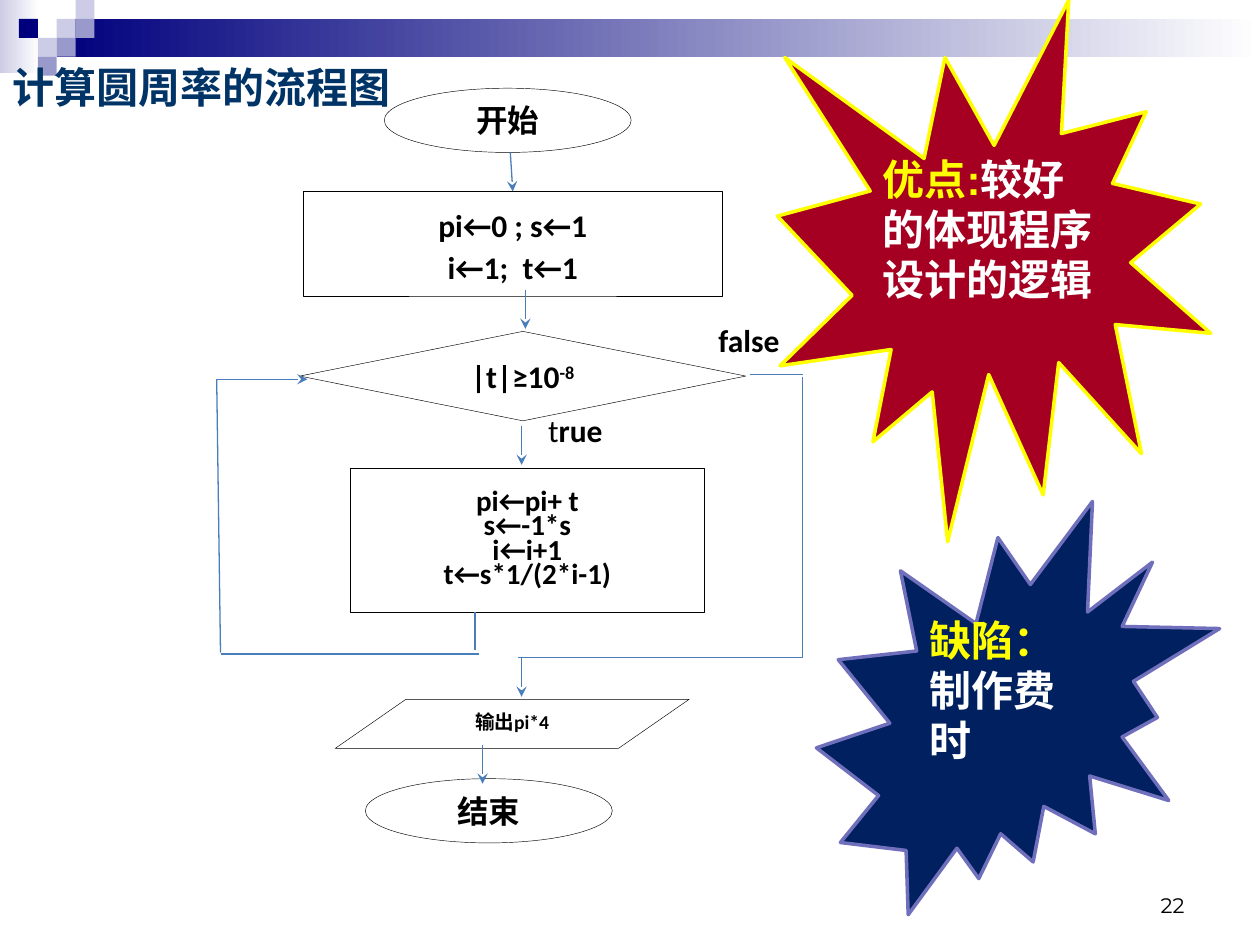
from lxml import etree
from pptx import Presentation
from pptx import util as u
from pptx.dml.color import RGBColor
from pptx.enum import shapes, text
from pptx.oxml.ns import qn

BLACK = RGBColor(0x00, 0x00, 0x00)
WHITE = RGBColor(0xFF, 0xFF, 0xFF)
YELLOW = RGBColor(0xFF, 0xFF, 0x00)
RED = RGBColor(0xA5, 0x00, 0x21)
DEEP_BLUE = RGBColor(0x00, 0x20, 0x60)
VIOLET = RGBColor(0x6F, 0x6F, 0xBC)
TITLE_BLUE = RGBColor(0x00, 0x33, 0x66)
FLOW_BLUE = RGBColor(0x4A, 0x7E, 0xBB)
NAVY = RGBColor(0x00, 0x00, 0x7D)
LILAC = RGBColor(0xCC, 0xCC, 0xE6)
MAUVE = RGBColor(0x99, 0x99, 0xCC)

KIND = shapes.MSO_SHAPE
ALIGN = text.PP_ALIGN
ANCHOR = text.MSO_ANCHOR
FLOW_FONT = {"name": "Calibri", "size": u.Pt(18), "bold": True}
CALLOUT_FONT = {"name": "Arial", "size": u.Pt(24), "bold": True}
PADDING = (0.1, 0.05, 0.1, 0.05)


class SlideBuilder:
    """Holds the shared style and the slide being built."""

    def __init__(self, slide, font, color):
        self.slide = slide
        self.font = font
        self.color = color

    def add_text(self, shape, paragraphs, align=ALIGN.CENTER, anchor=ANCHOR.MIDDLE,
                 insets=(0, 0, 0, 0), spacing=None, color=None, **font):
        """Each paragraph is a list of (text, font overrides) runs."""
        frame = shape.text_frame
        frame.word_wrap = True
        frame.vertical_anchor = anchor
        for side, inset in zip(("left", "top", "right", "bottom"), insets):
            setattr(frame, f"margin_{side}", u.Inches(inset))
        for index, runs in enumerate(paragraphs):
            paragraph = frame.add_paragraph() if index else frame.paragraphs[0]
            paragraph.alignment = align
            paragraph.line_spacing = spacing
            for words, overrides in runs:
                run = paragraph.add_run()
                run.text = words
                look = {**self.font, "color": color or self.color, **font, **overrides}
                run.font.color.rgb = look.pop("color")
                raised = look.pop("baseline", None)
                for name, value in look.items():
                    setattr(run.font, name, value)
                if raised:
                    run.font._element.set("baseline", str(raised))

    def shape(self, kind, box, fill=None, line=None, width=0.25):
        item = self.slide.shapes.add_shape(kind, *map(u.Inches, box))
        item.shadow.inherit = False
        if fill is None:
            item.fill.background()
        elif isinstance(fill, RGBColor):
            item.fill.solid()
            item.fill.fore_color.rgb = fill
        else:
            item.fill.gradient()
            item.fill.gradient_angle = 0
            for stop, color, position in zip(item.fill.gradient_stops, fill, (0, 1)):
                stop.color.rgb = color
                stop.position = position
        if line is None:
            item.line.fill.background()
        else:
            item.line.color.rgb = line
            item.line.width = u.Pt(width)
        return item

    def step(self, kind, box, paragraphs, **style):
        item = self.shape(kind, box, line=BLACK)
        self.add_text(item, paragraphs, **style)
        return item

    def label(self, box, paragraphs, **style):
        item = self.slide.shapes.add_textbox(*map(u.Inches, box))
        self.add_text(item, paragraphs, **style)

    def callout(self, kind, box, fill, line, heading, body):
        item = self.shape(kind, box, fill, line, 2)
        # The deep bottom inset lifts the text by half a line
        self.add_text(item, [[(heading, {"color": YELLOW}), (body, {})]], ALIGN.LEFT,
                      insets=(0.1, 0.05, 0.1, 0.45), color=WHITE, **CALLOUT_FONT)

    def line(self, start, end, arrow=False):
        item = self.slide.shapes.add_connector(
            shapes.MSO_CONNECTOR.STRAIGHT, *map(u.Inches, (*start, *end)))
        item.line.color.rgb = FLOW_BLUE
        item.line.width = u.Pt(0.75)
        if arrow:
            etree.SubElement(item.line._get_or_add_ln(), qn("a:tailEnd"), type="stealth")
        etree.SubElement(item._element.spPr, qn("a:effectLst"))
        return item


def main():
    deck = Presentation()
    deck.slide_width, deck.slide_height = u.Inches(10), u.Inches(7.5)
    slide = deck.slides.add_slide(deck.slide_layouts[6])
    build = SlideBuilder(slide, FLOW_FONT, BLACK)

    # Header band and its mosaic of squares
    build.shape(KIND.RECTANGLE, (0, 0, 0.31, 0.58), (LILAC, WHITE))
    build.shape(KIND.RECTANGLE, (0.45, 0.15, 9.55, 0.3), (NAVY, WHITE))
    tile = 0.15
    for column, row, color in ((3, 1, LILAC), (4, 0, LILAC), (4, 1, MAUVE), (2, 2, LILAC),
                               (1, 1, NAVY), (3, 2, MAUVE), (2, 3, MAUVE)):
        build.shape(KIND.RECTANGLE, (column * tile, row * tile, tile, tile), color)

    # Flowchart steps
    build.step(KIND.FLOWCHART_DATA, (2.66, 5.55, 2.81, 0.39), [[("输出pi*4", {})]],
               spacing=0.8, size=u.Pt(11.2))
    build.step(KIND.OVAL, (3.05, 0.7, 1.96, 0.51), [[("开始", {})]])
    initial_values = build.step(
        KIND.RECTANGLE, (2.41, 1.52, 3.32, 0.83),
        [[("pi←0 ; s←1", {})], [("i←1;  t←1", {})]], spacing=1.12)
    build.step(KIND.FLOWCHART_DECISION, (2.38, 2.63, 3.54, 0.71),
               [[("|t|≥10", {}), ("-8", {"baseline": 30000})]])
    loop_body = ("pi←pi+ t", "s←-1*s", "i←i+1", "t←s*1/(2*i-1)")
    build.step(KIND.RECTANGLE, (2.78, 3.72, 2.81, 1.14),
               [[(statement, {})] for statement in loop_body],
               spacing=0.7, size=u.Pt(16.6))
    build.step(KIND.OVAL, (2.9, 6.18, 1.96, 0.51), [[("结束", {})]])

    # Downward arrows
    build.line((4.05, 1.21), (4.07, 1.52), arrow=True).end_connect(initial_values, 0)
    for x, top in ((4.17, 2.3), (4.14, 3.38), (4.14, 5.22), (3.83, 5.91)):
        build.line((x, top), (x, top + 0.31), arrow=True)

    # Loop back to the test
    build.line((3.77, 4.86), (3.77, 5.16))
    build.line((3.8, 5.19), (1.75, 5.19))
    build.line((1.75, 5.18), (1.72, 3.01))
    build.line((1.72, 3.01), (2.44, 3.01), arrow=True)

    # Exit from the loop
    build.line((5.95, 2.97), (6.37, 2.97))
    build.line((6.37, 2.99), (6.37, 5.22))
    build.line((6.37, 5.22), (4.11, 5.22))

    # Branch labels
    build.label((4.95, 2.53, 1.99, 0.34), [[("false", {})]])
    build.label((4.35, 3.24, 1.99, 0.34), [[("t", {"bold": False}), ("rue", {})]],
                align=ALIGN.JUSTIFY)

    # Title
    build.label((0, 0.44, 4.61, 0.5), [[("计算圆周率的流程图", {})]], align=ALIGN.LEFT,
                anchor=ANCHOR.TOP, insets=PADDING, size=u.Pt(24), color=TITLE_BLUE)

    # Drawback and advantage
    build.callout(KIND.EXPLOSION2, (6.48, 3.98, 3.2, 3.28), DEEP_BLUE, VIOLET,
                  "缺陷：", "制作费时")
    build.callout(KIND.EXPLOSION1, (6.17, 0, 3.44, 4.3), RED, YELLOW,
                  "优点:", "较好的体现程序设计的逻辑")

    # Page number
    build.label((7.17, 6.83, 2.33, 0.5), [[("22", {})]], align=ALIGN.RIGHT,
                anchor=ANCHOR.BOTTOM, insets=PADDING, name="Montserrat",
                size=u.Pt(12), bold=False)

    deck.save("out.pptx")


if __name__ == "__main__":
    main()
